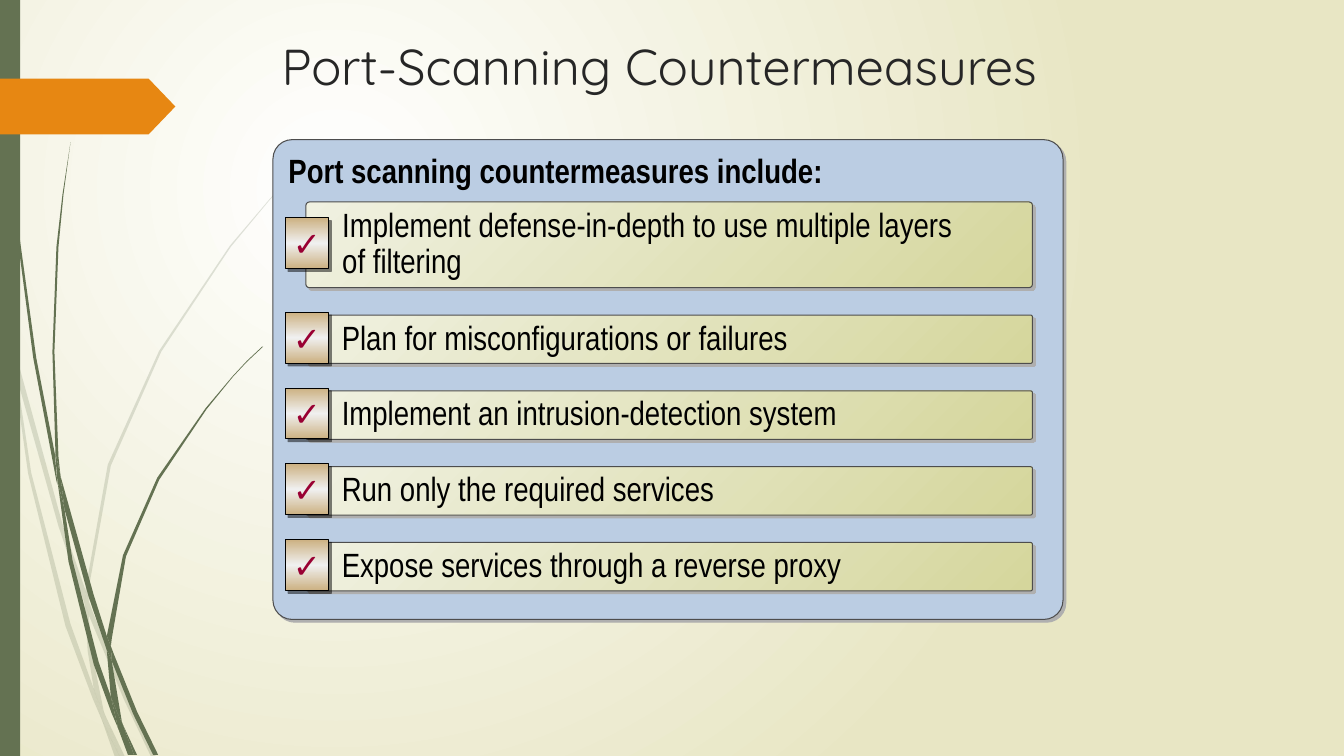
from lxml import etree
from pptx import Presentation
from pptx.dml.color import RGBColor
from pptx.enum.shapes import MSO_SHAPE
from pptx.enum.text import MSO_ANCHOR, MSO_AUTO_SIZE, PP_ALIGN
from pptx.oxml.ns import qn
from pptx.util import Cm, Pt

ROUNDED, RECTANGLE, TAG = (MSO_SHAPE.ROUNDED_RECTANGLE, MSO_SHAPE.RECTANGLE,
                           MSO_SHAPE.PENTAGON)
TOP, MIDDLE = MSO_ANCHOR.TOP, MSO_ANCHOR.MIDDLE
LEFT, CENTER = PP_ALIGN.LEFT, PP_ALIGN.CENTER
NO_AUTOFIT = MSO_AUTO_SIZE.NONE
TITLE_ONLY = 5
PAGE_WIDTH, PAGE_HEIGHT = 33.87, 19.05
GREEN, ORANGE = "647252", "E78712"

# Outlines of the grass pieces, as corner points in inches.
CM_PER_INCH = 2.54
PALE_GRASS = [
    [(.11, 3.5), (.09, 3.22), (0, 2.82), (0, 2.99), (.1, 3.44)],
    [(.58, 5.22), (.84, 5.99), (.85, 5.86), (.62, 5.2), (.14, 3.45), (.17, 3.76)],
    [(.92, 6.07), (.88, 5.96), (.88, 6.1), (1.23, 6.94), (1.5, 7.51), (1.55, 7.51),
     (1.27, 6.92)],
    [(1.19, 7.51), (1.24, 7.51), (1.05, 7.11)],
    [(.93, 6.83), (.7, 6.19), (.31, 4.69), (.17, 3.76), (.11, 3.5), (.28, 4.7),
     (.65, 6.21), (.92, 6.93), (1.01, 7.14), (.99, 7.07)],
    [(.84, 5.99), (.87, 6.46), (.93, 6.83), (.96, 6.92), (1.05, 7.11), (1.03, 7.06),
     (.91, 6.46), (.88, 6.1), (.88, 6.08)],
    [(.88, 5.84), (1.1, 4.62), (1.6, 3.49), (2.29, 2.45), (2.68, 1.98), (2.9, 1.75),
     (3.12, 1.54), (3.12, 1.53), (2.89, 1.75), (2.68, 1.97), (2.28, 2.44),
     (1.58, 3.48), (1.07, 4.61), (.85, 5.84), (.85, 5.86), (.88, 5.96)],
    [(1.01, 7.14), (1.14, 7.51), (1.19, 7.51)],
    [(.88, 6.08), (.88, 6.1), (.88, 5.96), (.85, 5.86), (.84, 5.99)],
    [(.96, 6.92), (.93, 6.83), (.99, 7.07), (1.01, 7.14), (1.19, 7.51), (1.05, 7.11)],
]
DARK_GRASS = [
    [(.07, 1.1), (.17, 2.33), (.33, 3.55), (.56, 4.77), (.57, 4.81), (.55, 4.57),
     (.55, 4.53), (.36, 3.55), (.19, 2.32), (.08, 1.09), (.05, .48), (.04, 0),
     (.03, 0), (.04, .48)],
    [(.88, 5.92), (1.06, 6.45), (1.06, 6.33), (1.06, 6.31), (.93, 5.9), (.6, 4.72),
     (.64, 5.05)],
    [(1.13, 6.49), (1.1, 6.41), (1.11, 6.56), (1.32, 7.08), (1.52, 7.49),
     (1.57, 7.49), (1.36, 7.06)],
    [(1.1, 6.91), (.98, 6.57), (.72, 5.56), (.64, 5.05), (.57, 4.77), (.68, 5.57),
     (.93, 6.59), (1.11, 7.08), (1.17, 7.22), (1.16, 7.17)],
    [(.6, 4.72), (.58, 4.53), (.54, 3.49), (.58, 2.45), (.63, 1.93), (.7, 1.41),
     (.62, 1.93), (.56, 2.45), (.52, 3.49), (.55, 4.49)],
    [(1.33, 7.49), (1.36, 7.49), (1.22, 7.19)],
    [(.57, 4.77), (.64, 5.05), (.6, 4.72), (.55, 4.49), (.55, 4.53)],
    [(1.11, 6.33), (1.25, 5.52), (1.58, 4.76), (2.05, 4.06), (2.31, 3.74),
     (2.45, 3.59), (2.61, 3.44), (2.6, 3.44), (2.45, 3.58), (2.31, 3.73),
     (2.04, 4.05), (1.56, 4.74), (1.22, 5.51), (1.06, 6.31), (1.1, 6.41)],
    [(1.17, 7.22), (1.27, 7.49), (1.31, 7.49)],
    [(1.06, 6.45), (1.1, 6.91), (1.16, 7.06), (1.22, 7.19), (1.21, 7.16),
     (1.11, 6.56), (1.09, 6.51)],
    [(1.06, 6.45), (1.09, 6.51), (1.11, 6.56), (1.1, 6.41), (1.06, 6.31),
     (1.06, 6.33)],
    [(1.16, 7.06), (1.1, 6.91), (1.16, 7.17), (1.17, 7.22), (1.3, 7.49),
     (1.33, 7.49), (1.22, 7.19)],
]
MEASURES = [
    ("Implement defense-in-depth to use multiple layers\vof filtering", 2.16),
    ("Plan for misconfigurations or failures", 1.22),
    ("Implement an intrusion-detection system", 1.22),
    ("Run only the required services", 1.22),
    ("Expose services through a reverse proxy", 1.22),
]
NARROW = {"name": "Arial Narrow", "size": Pt(24)}


def color(value):
    return RGBColor.from_string(value)


def add_child(parent, tag, **attributes):
    child = etree.SubElement(parent, qn(tag))
    for name, value in attributes.items():
        child.set(name, str(value))
    return child


def set_gradient(fill, element, stops, angle=None):
    """Fill with (percent, colour) stops, circular when no angle is given."""
    fill.gradient()
    gradient = element.find(".//" + qn("a:gradFill"))
    for child in list(gradient):
        gradient.remove(child)
    stop_list = add_child(gradient, "a:gsLst")
    for percent, value in stops:
        stop = add_child(stop_list, "a:gs", pos=percent * 1000)
        add_child(stop, "a:srgbClr", val=value)
    if angle is None:
        circle = add_child(gradient, "a:path", path="circle")
        add_child(circle, "a:fillToRect", l=50000, t=50000, r=100000, b=100000)
    else:
        add_child(gradient, "a:lin", ang=angle * 60000, scaled=0)


def set_shadow(shape, value, opacity):
    shape.shadow.inherit = False
    effects = shape._element.spPr.find(qn("a:effectLst"))
    shadow = add_child(effects, "a:outerShdw", blurRad=0, dist=Pt(2.8),
                       dir=45 * 60000, algn="ctr", rotWithShape=0)
    add_child(add_child(shadow, "a:srgbClr", val=value),
              "a:alpha", val=opacity * 1000)


def write(frame, text, font, font_color, align=LEFT, spacing=None, **layout):
    for name, value in layout.items():
        setattr(frame, name, value)
    para = frame.paragraphs[0]
    para.text = text
    para.alignment = align
    para.line_spacing = spacing
    for span in para.runs:
        for name, value in font.items():
            setattr(span.font, name, value)
        span.font.color.rgb = color(font_color)


def make_plain(shape, fill):
    shape.shadow.inherit = False
    shape.fill.solid()
    shape.fill.fore_color.rgb = color(fill)
    shape.line.fill.background()
    return shape


def add_card(page, box, line, corner, shadow):
    card = page.shapes.add_shape(ROUNDED, *map(Cm, box))
    card.adjustments[0] = corner
    card.line.color.rgb = color(line)
    card.line.width = Pt(0.75)
    set_shadow(card, *shadow)
    return card


def add_grass(page, left, top, outline, opacity):
    corners = [(Cm(left + x * CM_PER_INCH), Cm(top + y * CM_PER_INCH))
               for x, y in outline]
    builder = page.shapes.build_freeform(*corners[0])
    builder.add_line_segments(corners[1:])
    grass = make_plain(builder.convert_to_shape(), GREEN)
    if opacity < 100:
        add_child(grass._element.spPr.find(".//" + qn("a:srgbClr")),
                  "a:alpha", val=opacity * 1000)


def add_backdrop(page, left, top, height):
    set_gradient(page.background.fill, page._element,
                 [(0, "FFFFFF"), (100, "E8E6C4")])
    for outlines, opacity in ((PALE_GRASS, 20), (DARK_GRASS, 100)):
        for outline in outlines:
            add_grass(page, left, top, outline, opacity)
    for kind, box, fill in ((RECTANGLE, (left, top, .51, height), GREEN),
                            (TAG, (left, top + 1.98, 4.42, 1.41), ORANGE)):
        shape = make_plain(page.shapes.add_shape(kind, *map(Cm, box)), fill)
    shape.adjustments[0] = 0.48


def add_title(page, box):
    title = page.shapes.title
    for name, value in zip(("left", "top", "width", "height"), box):
        setattr(title, name, Cm(value))
    write(title.text_frame, "Port-Scanning Countermeasures",
          {"name": "Quicksand", "size": Pt(36)}, "262626", CENTER,
          vertical_anchor=TOP, word_wrap=True, auto_size=NO_AUTOFIT)


def add_measure(page, box, text):
    left, top, width, height = box
    bar = add_card(page, box, "4D4D4D", 0.04, ("AFAFAF", 100))
    set_gradient(bar.fill, bar._element, [(0, "F0F1E1"), (100, "D5D69C")], 45)
    write(bar.text_frame, text, NARROW, "000000", spacing=0.9,
          vertical_anchor=MIDDLE, word_wrap=True, margin_left=Cm(.89),
          margin_right=Cm(.13), margin_top=Cm(.13), margin_bottom=Cm(.13))
    side = 1.28
    tick = add_card(page, (left - .52, top + (height - side) / 2 - .04, 1.09, side),
                    "000000", 0, ("000000", 50))
    set_gradient(tick.fill, tick._element,
                 [(0, "CCB182"), (50, "F0F0F0"), (100, "CCB182")], 90)
    write(tick.text_frame, "✓", {"name": "Arial", "size": Pt(24), "bold": True},
          "990033", CENTER, vertical_anchor=MIDDLE, word_wrap=False)


def add_checklist(page, box):
    left, top, width, height = box
    panel = add_card(page, box, "4D4D4D", 0.04, ("AFAFAF", 100))
    panel.fill.solid()
    panel.fill.fore_color.rgb = color("BBCDE3")
    write(panel.text_frame, "Port scanning countermeasures include:",
          {**NARROW, "bold": True}, "000000", vertical_anchor=TOP, word_wrap=True)
    row_top, gap = top + 1.57, .69
    for text, row_height in MEASURES:
        add_measure(page, (left + .83, row_top, width - 1.6, row_height), text)
        row_top += row_height + gap


def main():
    deck = Presentation()
    deck.slide_width, deck.slide_height = Cm(PAGE_WIDTH), Cm(PAGE_HEIGHT)
    page = deck.slides.add_slide(deck.slide_layouts[TITLE_ONLY])
    add_backdrop(page, 0, 0, PAGE_HEIGHT)
    add_title(page, (5.5, .76, 22.23, 3.18))
    add_checklist(page, (6.88, 3.52, 19.91, 12.09))
    deck.save("out.pptx")


if __name__ == "__main__":
    main()
